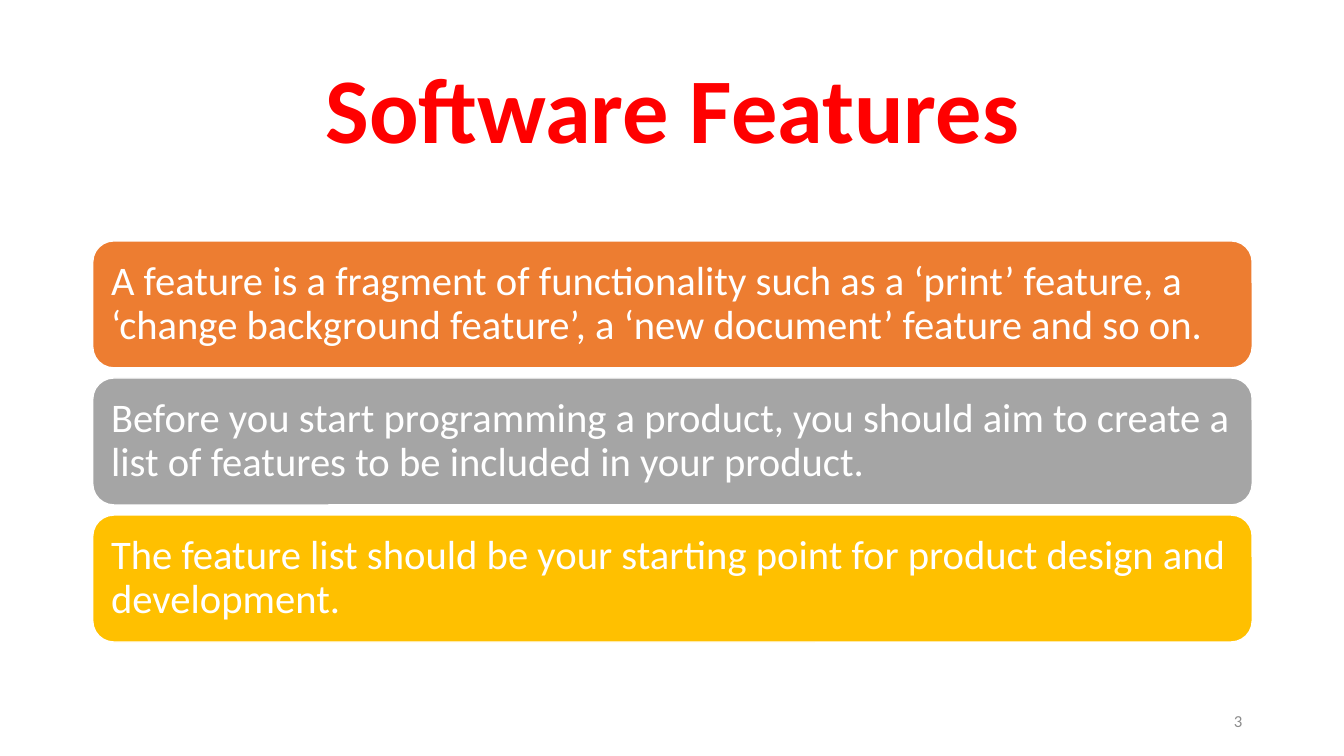
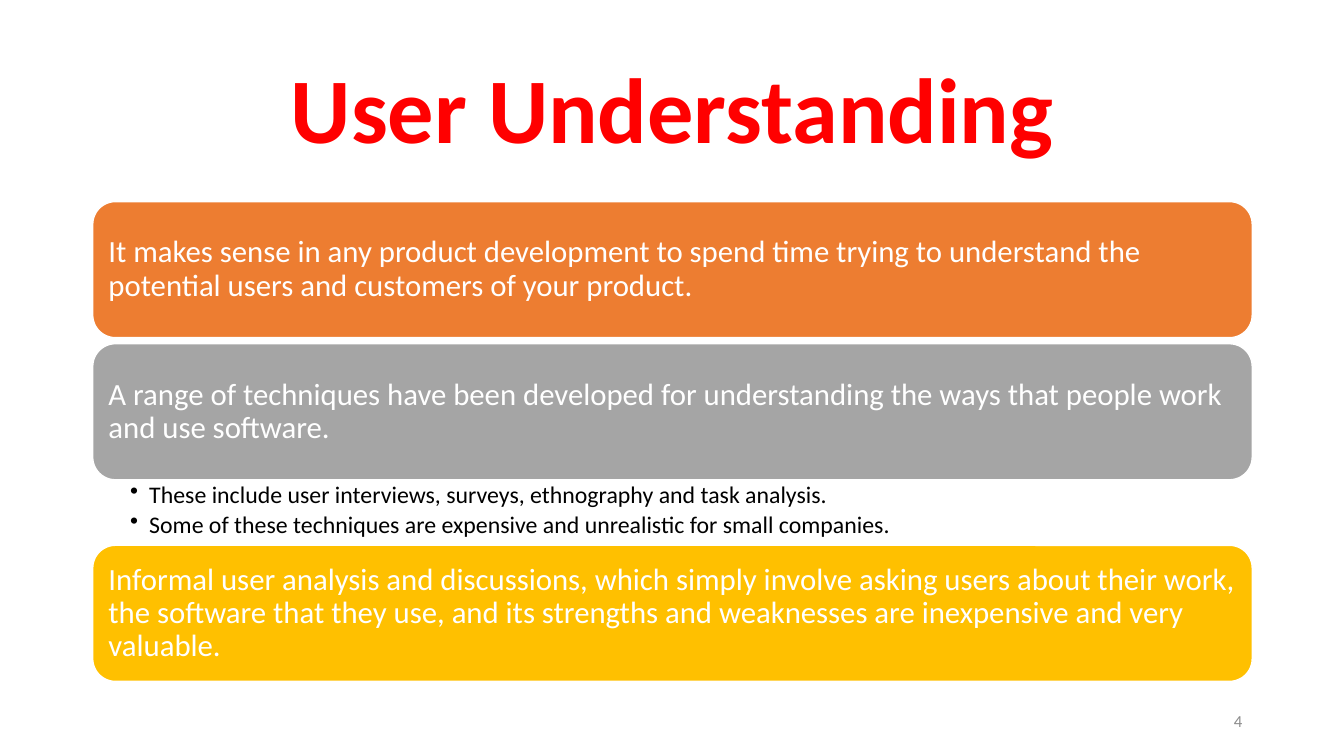
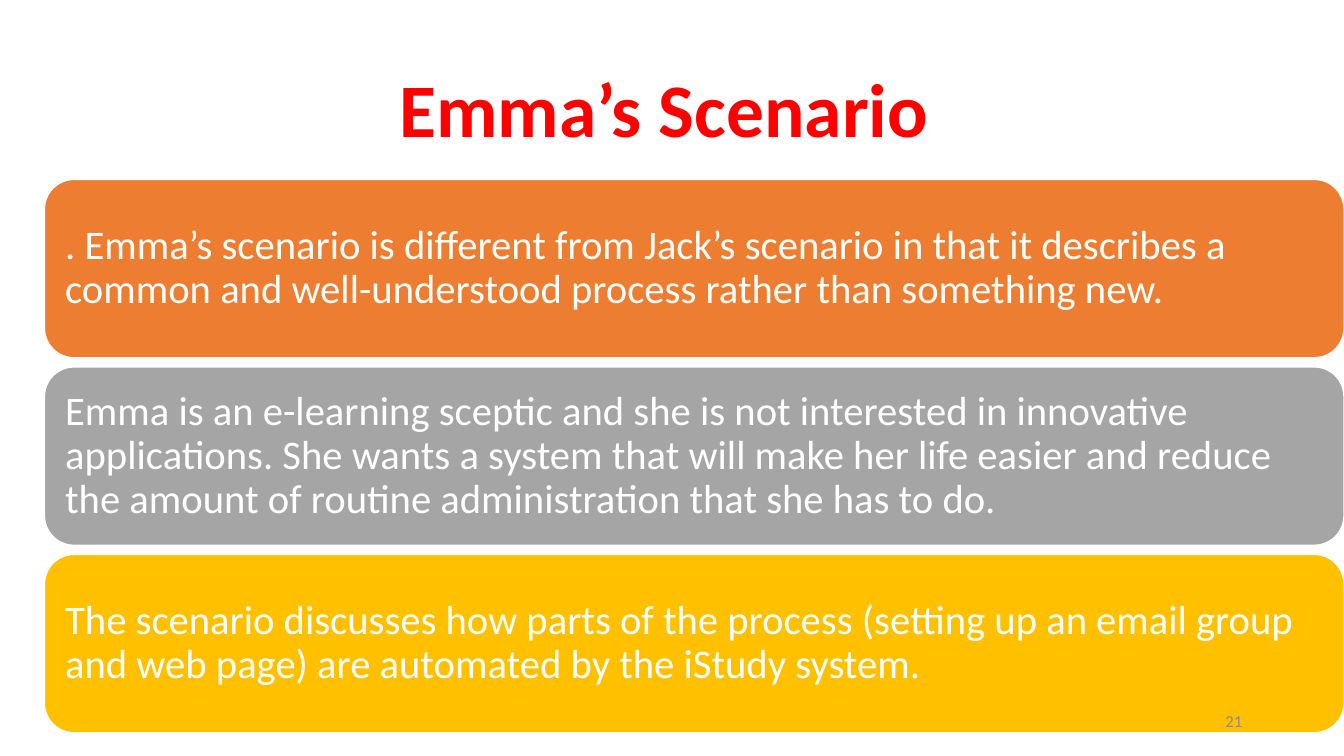
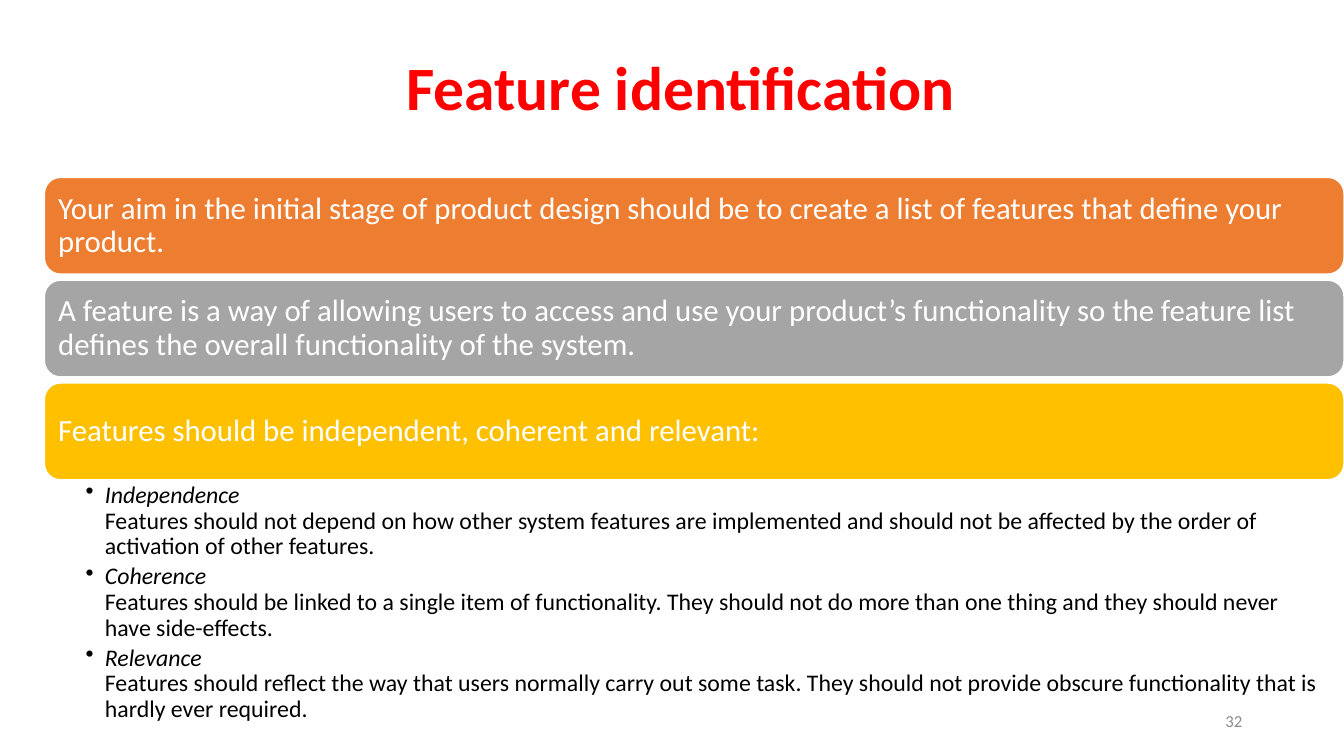
import dataclasses

import lxml.etree
import pptx
import pptx.dml.color
import pptx.enum.shapes
import pptx.enum.text
import pptx.oxml.ns
import pptx.util

Inches = pptx.util.Inches
Pt = pptx.util.Pt
ALIGN = pptx.enum.text.PP_ALIGN
MIDDLE = pptx.enum.text.MSO_ANCHOR.MIDDLE
TOP = pptx.enum.text.MSO_ANCHOR.TOP

# Shared style
FONT = "Calibri"
COLORS = {
    "title": "FF0000",
    "first": "ED7D31",
    "second": "A5A5A5",
    "third": "FFC000",
    "white": "FFFFFF",
    "body": "000000",
    "number": "8C8C8C",
}
BAR_COLORS = ("first", "second", "third")
LINE_SPACING = 0.9
BULLET_INDENT = 0.19


@dataclasses.dataclass(frozen=True)
class Bullet:
    text: str
    heading: str = ""


@dataclasses.dataclass(frozen=True)
class Statement:
    text: str
    bullets: tuple[Bullet, ...] = ()
    bullets_height: float = 0


@dataclasses.dataclass(frozen=True)
class Page:
    title: str
    title_size: int
    number: int
    left: float
    top: float
    width: float
    bar_height: float
    gap: float
    text_size: int
    inset: float
    statements: tuple[Statement, ...]
    bullet_left: float = 0
    title_box: tuple[float, float, float, float] = (0.92, 0.4, 11.5, 1.45)


PAGES = (
    Page(
        "Software Features", 66, 3,
        left=0.92, top=2.39, width=11.5, bar_height=1.26, gap=0.1,
        text_size=29, inset=0.12,
        statements=(
            Statement("A feature is a fragment of functionality such as a ‘print’ feature, a "
                      "‘change background feature’, a ‘new document’ feature and so on."),
            Statement("Before you start programming a product, you should aim to create a "
                      "list of features to be included in your product."),
            Statement("The feature list should be your starting point for product design and "
                      "development."),
        ),
    ),
    Page(
        "User Understanding", 66, 4,
        left=0.92, top=2, width=11.5, bar_height=1.35, gap=0.06,
        text_size=22, inset=0.09, bullet_left=0.37,
        statements=(
            Statement("It makes sense in any product development to spend time trying to "
                      "understand the potential users and customers of your product."),
            Statement(
                "A range of techniques have been developed for understanding the ways that "
                "people work and use software.",
                (
                    Bullet("These include user interviews, surveys, ethnography and task analysis."),
                    Bullet("Some of these techniques are expensive and unrealistic for small "
                           "companies."),
                ),
                bullets_height=0.65,
            ),
            Statement("Informal user analysis and discussions, which simply involve asking users "
                      "about their work, the software that they use, and its strengths and "
                      "weaknesses are inexpensive and very valuable."),
        ),
    ),
    Page(
        "Emma’s Scenario ", 54, 21,
        left=0.44, top=1.78, width=12.89, bar_height=1.77, gap=0.09,
        text_size=29, inset=0.12,
        statements=(
            Statement(". Emma’s scenario is different from Jack’s scenario in that it describes "
                      "a common and well-understood process rather than something new."),
            Statement("Emma is an e-learning sceptic and she is not interested in innovative "
                      "applications. She wants a system that will make her life easier and "
                      "reduce the amount of routine administration that she has to do."),
            Statement("The scenario discusses how parts of the process (setting up an email "
                      "group and web page) are automated by the iStudy system."),
        ),
    ),
    Page(
        "Feature identification", 44, 32,
        left=0.44, top=1.76, width=12.89, bar_height=0.96, gap=0.06,
        text_size=22, inset=0.09, bullet_left=0.41, title_box=(1, 0.46, 11.5, 0.88),
        statements=(
            Statement("Your aim in the initial stage of product design should be to create a "
                      "list of features that define your product."),
            Statement("A feature is a way of allowing users to access and use your product’s "
                      "functionality so the feature list defines the overall functionality of "
                      "the system."),
            Statement(
                "Features should be independent, coherent and relevant:",
                (
                    Bullet("Features should not depend on how other system features are "
                           "implemented and should not be affected by the order of activation "
                           "of other features.", "Independence"),
                    Bullet("Features should be linked to a single item of functionality. They "
                           "should not do more than one thing and they should never have "
                           "side-effects.", "Coherence"),
                    Bullet("Features should reflect the way that users normally carry out some "
                           "task. They should not provide obscure functionality that is hardly "
                           "ever required.", "Relevance"),
                ),
                bullets_height=2.54,
            ),
        ),
    ),
)


def rgb(name: str) -> pptx.dml.color.RGBColor:
    return pptx.dml.color.RGBColor.from_string(COLORS[name])


def style(paragraph, size: int, color: str, align=ALIGN.LEFT,
          spacing: float = LINE_SPACING, bold: bool = False) -> None:
    paragraph.alignment = align
    paragraph.line_spacing = spacing
    font = paragraph.font
    font.name, font.size, font.bold = FONT, Pt(size), bold
    font.color.rgb = rgb(color)


def set_frame(frame, anchor, insets: tuple[float, float, float, float]) -> None:
    frame.word_wrap = True
    frame.vertical_anchor = anchor
    frame.margin_left, frame.margin_top, frame.margin_right, frame.margin_bottom = map(Inches, insets)


def add_frame(slide, box: tuple[float, float, float, float], anchor=MIDDLE,
              insets: tuple[float, float, float, float] = (0.1, 0.05, 0.1, 0.05)):
    frame = slide.shapes.add_textbox(*map(Inches, box)).text_frame
    set_frame(frame, anchor, insets)
    return frame


def add_label(slide, box: tuple[float, float, float, float], text: str, **look) -> None:
    paragraph = add_frame(slide, box).paragraphs[0]
    paragraph.text = text
    style(paragraph, **look)


def add_bar(slide, page: Page, top: float, text: str, color: str) -> None:
    bar = slide.shapes.add_shape(
        pptx.enum.shapes.MSO_SHAPE.ROUNDED_RECTANGLE,
        Inches(page.left), Inches(top), Inches(page.width), Inches(page.bar_height))
    bar.shadow.inherit = False
    bar.fill.solid()
    bar.fill.fore_color.rgb = rgb(color)
    bar.line.color.rgb = rgb("white")
    bar.line.width = Pt(1)
    set_frame(bar.text_frame, MIDDLE, (page.inset,) * 4)
    paragraph = bar.text_frame.paragraphs[0]
    paragraph.text = text
    style(paragraph, page.text_size, "white")


def set_bullet(paragraph) -> None:
    properties = paragraph._p.get_or_add_pPr()
    properties.set("marL", str(Inches(BULLET_INDENT)))
    properties.set("indent", str(-Inches(BULLET_INDENT)))
    mark = lxml.etree.Element(pptx.oxml.ns.qn("a:buChar"), char="•")
    defaults = properties.find(pptx.oxml.ns.qn("a:defRPr"))
    defaults.addprevious(mark)


def add_bullets(slide, page: Page, top: float, statement: Statement) -> None:
    frame = add_frame(slide, (page.left, top, page.width, statement.bullets_height),
                      TOP, (page.bullet_left, 0.03, 0.17, 0.03))
    for index, bullet in enumerate(statement.bullets):
        paragraph = frame.add_paragraph() if index else frame.paragraphs[0]
        if bullet.heading:
            heading = paragraph.add_run()
            heading.text = bullet.heading
            heading.font.italic = True
            paragraph.add_line_break()
        paragraph.add_run().text = bullet.text
        style(paragraph, 17, "body")
        paragraph.space_after = Pt(3)
        set_bullet(paragraph)


def add_page(deck, page: Page) -> None:
    slide = deck.slides.add_slide(deck.slide_layouts[6])
    add_label(slide, page.title_box, page.title, size=page.title_size,
              color="title", align=ALIGN.CENTER, bold=True)

    # Bars run downwards; bullets take the place of the gap below their bar
    top = page.top
    for statement, color in zip(page.statements, BAR_COLORS):
        add_bar(slide, page, top, statement.text, color)
        top += page.bar_height
        if statement.bullets:
            add_bullets(slide, page, top, statement)
        top += statement.bullets_height or page.gap

    # Page number
    add_label(slide, (9.42, 6.95, 3, 0.4), str(page.number), size=12,
              color="number", align=ALIGN.RIGHT, spacing=1.0)


def main() -> None:
    deck = pptx.Presentation()
    deck.slide_width, deck.slide_height = Inches(13.33), Inches(7.5)
    for page in PAGES:
        add_page(deck, page)
    deck.save("out.pptx")


if __name__ == "__main__":
    main()
